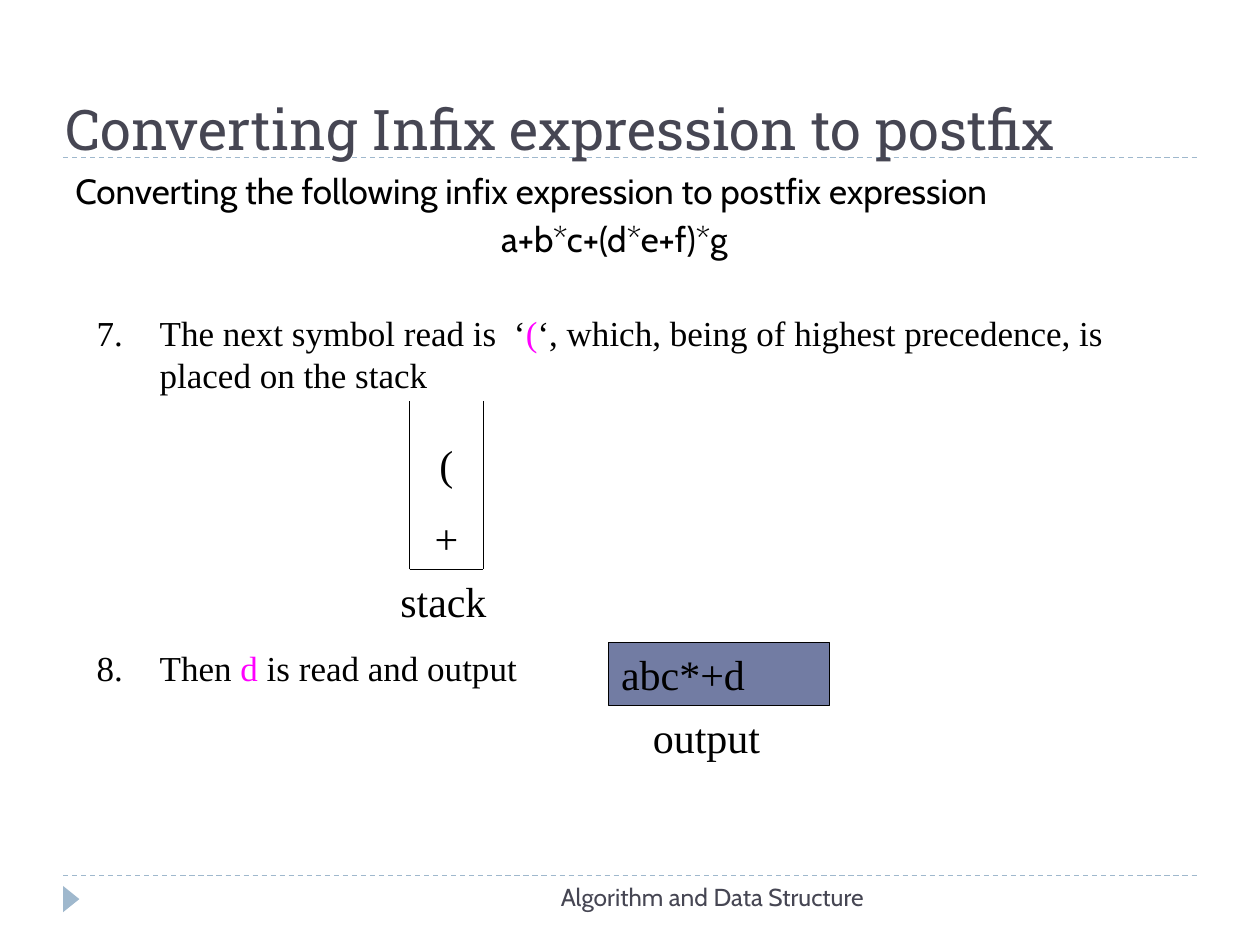
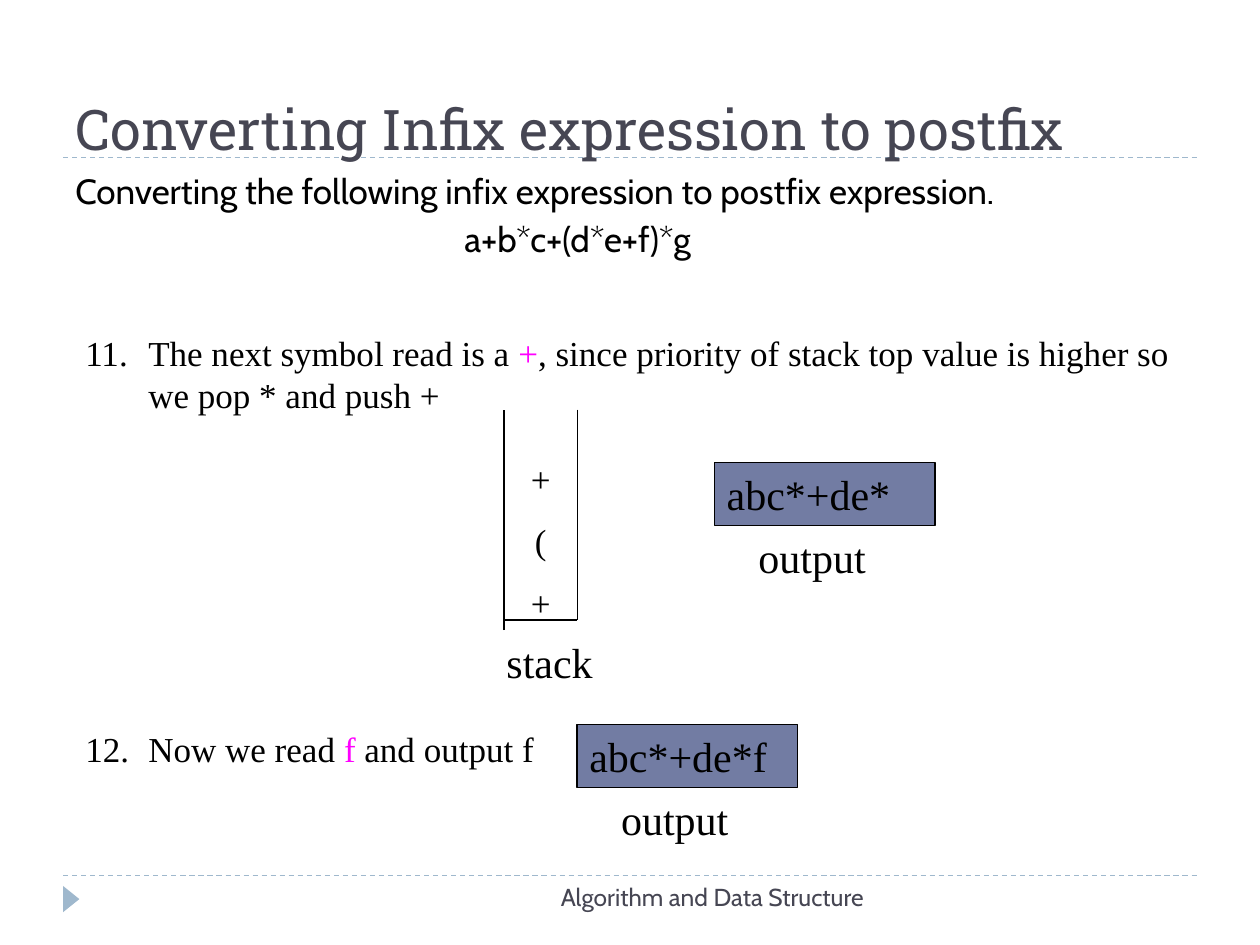
from dataclasses import dataclass

from lxml.etree import SubElement
from pptx import Presentation
from pptx.dml.color import RGBColor
from pptx.enum.dml import MSO_LINE
from pptx.enum.shapes import MSO_CONNECTOR, MSO_SHAPE
from pptx.enum.text import MSO_ANCHOR, PP_ALIGN
from pptx.oxml.ns import qn
from pptx.util import Cm, Pt


@dataclass(frozen=True)
class Theme:
    ink: RGBColor = RGBColor(0x00, 0x00, 0x00)
    title: RGBColor = RGBColor(0x46, 0x46, 0x53)
    rule: RGBColor = RGBColor(0x9F, 0xB8, 0xCD)
    output: RGBColor = RGBColor(0x72, 0x7C, 0xA3)
    symbol: RGBColor = RGBColor(0xFF, 0x00, 0xFF)
    title_font: str = "Roboto Slab"
    body_font: str = "Cabin"
    step_font: str = "Times New Roman"
    title_size: int = 32
    label_size: int = 24
    body_size: int = 20
    footer_size: int = 14
    line_width: float = 0.75
    gap: float = 0.57  # space between paragraphs, as a share of the type size


theme = Theme()


def write(tf, lines, size, font=theme.step_font, color=theme.ink, align=PP_ALIGN.LEFT):
    """Fill a text frame; a line given as a tuple has its second part highlighted."""
    tf.word_wrap = True
    tf.vertical_anchor = MSO_ANCHOR.TOP
    for i, line in enumerate(lines):
        p = tf.paragraphs[0] if i == 0 else tf.add_paragraph()
        p.alignment = align
        if i:
            p.space_before = Pt(round(size * theme.gap, 1))
        parts = line if isinstance(line, tuple) else (line,)
        for j, part in enumerate(parts):
            r = p.add_run()
            r.text = part
            r.font.name = font
            r.font.size = Pt(size)
            r.font.color.rgb = theme.symbol if j == 1 else color
    return tf


def draw_line(s, x1, y1, x2, y2, color=theme.ink, dash=None):
    cn = s.shapes.add_connector(MSO_CONNECTOR.STRAIGHT, Cm(x1), Cm(y1), Cm(x2), Cm(y2))
    cn.line.color.rgb = color
    cn.line.width = Pt(theme.line_width)
    if dash:
        cn.line.dash_style = dash
    SubElement(cn._element.spPr, qn("a:effectLst"))


# Content: positions in centimetres
slides = [
    {
        "title_left": 1.07,
        "intro": "Converting the following infix expression to postfix expression",
        "intro_width": 22.23,
        "step_left": 1.7,
        "steps": [
            (7, 6.15, 1.95, ("The next symbol read is  ‘", "(",
                             "‘, which, being of highest precedence, is placed on the stack")),
            (8, 12.9, 1.1, ("Then ", "d", " is read and output")),
        ],
        "stack": {"left": 8.26, "top": 8.08, "base": 11.48, "wall_end": 11.48,
                  "items": ["(", "+"], "items_top": 8.71, "size": 24, "label_left": 7.82},
        "outputs": [("abc*+d", 12.27, 12.95)],
    },
    {
        "title_left": 1.27,
        "intro": "Converting the following infix expression to postfix expression.",
        "intro_width": 20.75,
        "step_left": 1.47,
        "steps": [
            (11, 6.55, 1.95, ("The next symbol read is a ", "+",
                              ", since priority of stack top value is higher so we pop * and push +")),
            (12, 14.55, 1.1, ("Now we read ", "f", " and output f")),
        ],
        "stack": {"left": 10.16, "top": 8.26, "base": 12.5, "wall_end": 12.7,
                  "items": ["+", "(", "+"], "items_top": 9.09, "size": 20, "label_left": 9.96},
        "outputs": [("abc*+de*", 14.4, 9.32), ("abc*+de*f", 11.63, 14.6)],
    },
]

prs = Presentation()
prs.slide_width = Cm(25.4)
prs.slide_height = Cm(19.05)
stack_width = 1.48

for content in slides:
    s = prs.slides.add_slide(prs.slide_layouts[6])

    # Shared rules and corner marker
    for y in (17.65, 3.18):
        draw_line(s, 1.27, y, 24.13, y, theme.rule, MSO_LINE.DASH)
    sp = s.shapes.add_shape(MSO_SHAPE.ISOSCELES_TRIANGLE, Cm(1.17), Cm(17.96), Cm(0.53), Cm(0.33))
    sp.rotation = 90
    sp.shadow.inherit = False
    sp.fill.solid()
    sp.fill.fore_color.rgb = theme.rule
    sp.line.fill.background()

    # Title
    left = content["title_left"]
    sp = s.shapes.add_textbox(Cm(left), Cm(0.2), Cm(24.77 - left), Cm(3.18))
    tf = write(sp.text_frame, ["Converting Infix expression to postfix"],
               theme.title_size, theme.title_font, theme.title)
    tf.vertical_anchor = MSO_ANCHOR.BOTTOM

    # Introduction and expression
    sp = s.shapes.add_textbox(Cm(1.27), Cm(3.38), Cm(content["intro_width"]), Cm(3.38))
    tf = write(sp.text_frame, [content["intro"], "a+b*c+(d*e+f)*g"], theme.body_size, theme.body_font)
    for p in tf.paragraphs:
        p.line_spacing = 0.9
    p.space_before = Pt(6)
    p.alignment = PP_ALIGN.CENTER

    # Numbered steps
    for number, top, height, text in content["steps"]:
        sp = s.shapes.add_textbox(Cm(content["step_left"]), Cm(top), Cm(22.43), Cm(height))
        p = write(sp.text_frame, [text], theme.body_size).paragraphs[0]
        pPr = p._p.get_or_add_pPr()
        pPr.set("marL", str(Cm(1.27)))
        pPr.set("indent", str(-Cm(1.27)))
        SubElement(pPr, qn("a:buAutoNum"), type="arabicPeriod", startAt=str(number))

    # Stack: base, two walls, items and label
    stack = content["stack"]
    left, top, base = stack["left"], stack["top"], stack["base"]
    right = left + stack_width
    draw_line(s, left, base, right, base)
    draw_line(s, right, top, right, base)
    draw_line(s, left, stack["wall_end"], left, top)
    sp = s.shapes.add_textbox(Cm(left + 0.2), Cm(stack["items_top"]), Cm(stack_width - 0.4),
                              Cm(stack["wall_end"] - stack["items_top"]))
    write(sp.text_frame, stack["items"], stack["size"], align=PP_ALIGN.CENTER)
    sp = s.shapes.add_textbox(Cm(stack["label_left"]), Cm(stack["wall_end"]), Cm(2.34), Cm(1.27))
    write(sp.text_frame, ["stack"], theme.label_size)

    # Output boxes with labels
    for text, left, top in content["outputs"]:
        sp = s.shapes.add_shape(MSO_SHAPE.RECTANGLE, Cm(left), Cm(top), Cm(4.45), Cm(1.27))
        sp.shadow.inherit = False
        sp.fill.solid()
        sp.fill.fore_color.rgb = theme.output
        sp.line.color.rgb = theme.ink
        sp.line.width = Pt(theme.line_width)
        write(sp.text_frame, [text], theme.label_size)
        sp = s.shapes.add_textbox(Cm(left + 0.64), Cm(top + 1.27), Cm(3.18), Cm(1.27))
        write(sp.text_frame, ["output"], theme.label_size)

    # Footer
    sp = s.shapes.add_textbox(Cm(8.05), Cm(17.65), Cm(9.73), Cm(1.02))
    write(sp.text_frame, ["Algorithm and Data Structure "], theme.footer_size,
          theme.body_font, theme.title, PP_ALIGN.RIGHT)

prs.save("out.pptx")
